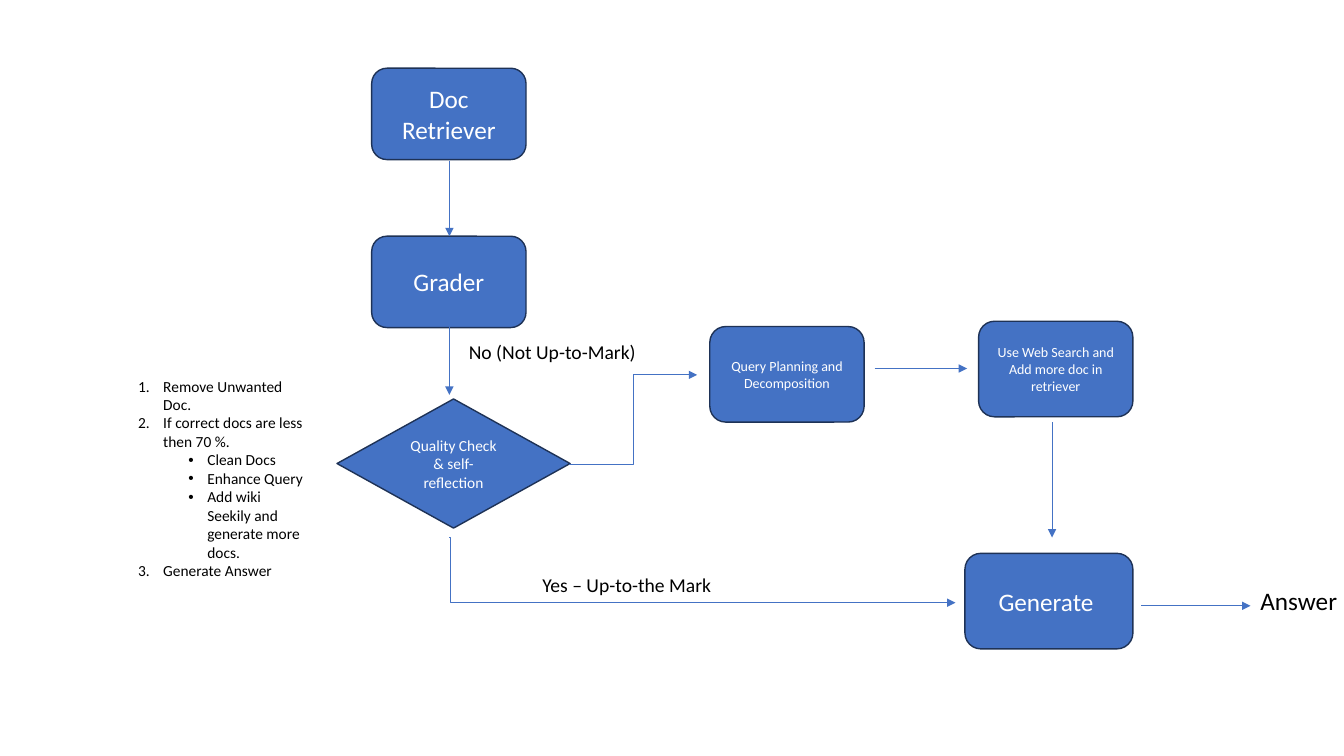
from dataclasses import dataclass

from pptx import Presentation
from pptx.dml.color import RGBColor
from pptx.enum.shapes import MSO_CONNECTOR, MSO_SHAPE
from pptx.enum.text import MSO_ANCHOR, MSO_AUTO_SIZE, PP_ALIGN
from pptx.oxml.ns import qn
from pptx.util import Pt
from lxml.etree import SubElement

PX = 9525


@dataclass(frozen=True)
class Theme:
    font: str = "Calibri"
    blue: RGBColor = RGBColor(0x44, 0x72, 0xC4)
    navy: RGBColor = RGBColor(0x1E, 0x32, 0x56)
    white: RGBColor = RGBColor(0xFF, 0xFF, 0xFF)
    black: RGBColor = RGBColor(0, 0, 0)
    large: int = 18
    label: int = 14
    note: int = 11
    small: int = 10


THEME = Theme()

NODES = [
    (MSO_SHAPE.ROUNDED_RECTANGLE, (354, 65, 147, 87), "Doc Retriever", THEME.large),
    (MSO_SHAPE.ROUNDED_RECTANGLE, (354, 225, 147, 87), "Grader", THEME.large),
    (MSO_SHAPE.DIAMOND, (321, 380, 222, 123), "Quality Check & self-reflection", THEME.note),
    (MSO_SHAPE.ROUNDED_RECTANGLE, (676, 311, 147, 91),
     "Query Planning and Decomposition", THEME.small),
    (MSO_SHAPE.ROUNDED_RECTANGLE, (932, 306, 147, 91),
     "Use Web Search and Add more doc in retriever", THEME.small),
    (MSO_SHAPE.ROUNDED_RECTANGLE, (919, 527, 160, 91), "Generate ", THEME.large),
]

STRAIGHT_ARROWS = [
    ((428, 153), (428, 225)),
    ((428, 304), (428, 376)),
    ((833, 351), (921, 351)),
    ((1002, 402), (1002, 512)),
    ((1087, 577), (1191, 577)),
]

LABELS = [
    ((437, 319, 180, 33), "No (Not Up-to-Mark)", THEME.label),
    ((507, 541, 195, 33), "Yes – Up-to-the Mark", THEME.label),
    ((1191, 553, 113, 38), "Answer", THEME.large),
]

NOTES = [
    (0, "Remove Unwanted Doc."),
    (0, "If correct docs are less then 70 %."),
    (1, "Clean Docs"),
    (1, "Enhance Query"),
    (1, "Add wiki Seekily and generate more docs."),
    (0, "Generate Answer"),
]


def emu(lengths):
    return [length * PX for length in lengths]


def write(para, text, size, color):
    para.text = text
    para.font.name = THEME.font
    para.font.size = Pt(size)
    para.font.color.rgb = color


def add_node(page, kind, area, text, size):
    node = page.shapes.add_shape(kind, *emu(area))
    node.shadow.inherit = False
    node.fill.solid()
    node.fill.fore_color.rgb = THEME.blue
    node.line.color.rgb = THEME.navy
    node.line.width = Pt(1)
    frame = node.text_frame
    frame.word_wrap = True
    frame.vertical_anchor = MSO_ANCHOR.MIDDLE
    para = frame.paragraphs[0]
    para.alignment = PP_ALIGN.CENTER
    write(para, text, size, THEME.white)


def add_arrow(page, start, end, bend=None):
    """Draw a straight arrow, or an elbow that turns at bend (thousandths of its width)."""
    kind = MSO_CONNECTOR.STRAIGHT if bend is None else MSO_CONNECTOR.ELBOW
    arrow = page.shapes.add_connector(kind, *emu(start + end))
    arrow.line.color.rgb = THEME.blue
    arrow.line.width = Pt(0.5)
    properties = arrow.element.spPr
    SubElement(properties.find(qn("a:ln")), qn("a:tailEnd"), type="triangle")
    SubElement(properties, qn("a:effectLst"))
    if bend is not None:
        adjustments = properties.find(qn("a:prstGeom")).find(qn("a:avLst"))
        SubElement(adjustments, qn("a:gd"), name="adj1", fmla=f"val {bend * 100}")


def add_text_frame(page, area):
    frame = page.shapes.add_textbox(*emu(area)).text_frame
    frame.word_wrap = True
    frame.auto_size = MSO_AUTO_SIZE.SHAPE_TO_FIT_TEXT
    return frame


def add_label(page, area, text, size):
    write(add_text_frame(page, area).paragraphs[0], text, size, THEME.black)


def set_list_style(para, level):
    """Number the first level and put bullets on the second."""
    para.level = level
    margin, hanging = [(24, 24), (66, 18)][level]
    properties = para._p.get_or_add_pPr()
    properties.set("marL", str(margin * PX))
    properties.set("indent", str(-hanging * PX))
    if level == 0:
        SubElement(properties, qn("a:buFont"), typeface="+mj-lt")
        SubElement(properties, qn("a:buAutoNum"), type="arabicPeriod")
    else:
        SubElement(properties, qn("a:buFont"), typeface="Arial")
        SubElement(properties, qn("a:buChar"), char="•")


def add_notes_list(page, area, notes):
    frame = add_text_frame(page, area)
    for index, (level, text) in enumerate(notes):
        para = frame.add_paragraph() if index else frame.paragraphs[0]
        set_list_style(para, level)
        write(para, text, THEME.note, THEME.black)


def main():
    deck = Presentation()
    deck.slide_width, deck.slide_height = emu((1280, 720))
    page = deck.slides.add_slide(deck.slide_layouts[6])
    for node in NODES:
        add_node(page, *node)
    for start, end in STRAIGHT_ARROWS:
        add_arrow(page, start, end)
    add_arrow(page, (428, 512), (910, 574), bend=2)
    add_arrow(page, (542, 442), (664, 357), bend=500)
    for label in LABELS:
        add_label(page, *label)
    add_notes_list(page, (122, 354, 180, 205), NOTES)
    deck.save("out.pptx")


if __name__ == "__main__":
    main()
